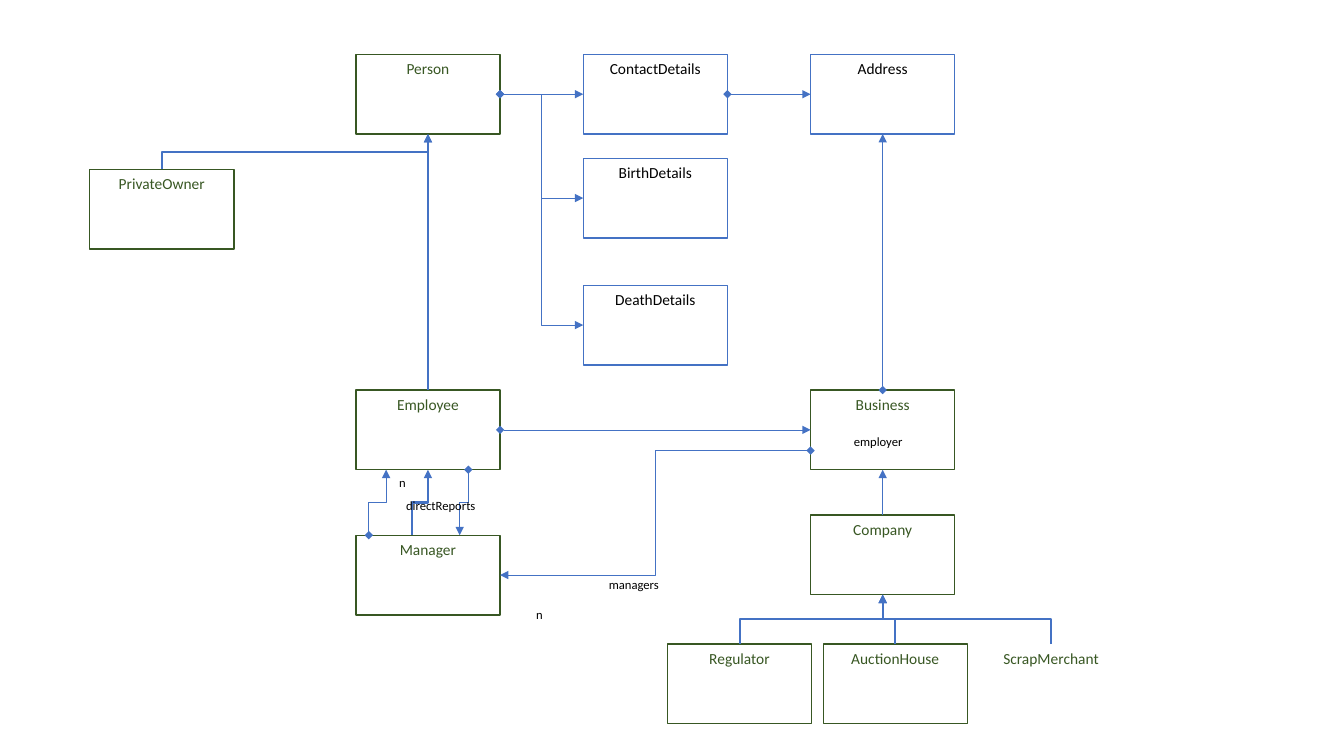
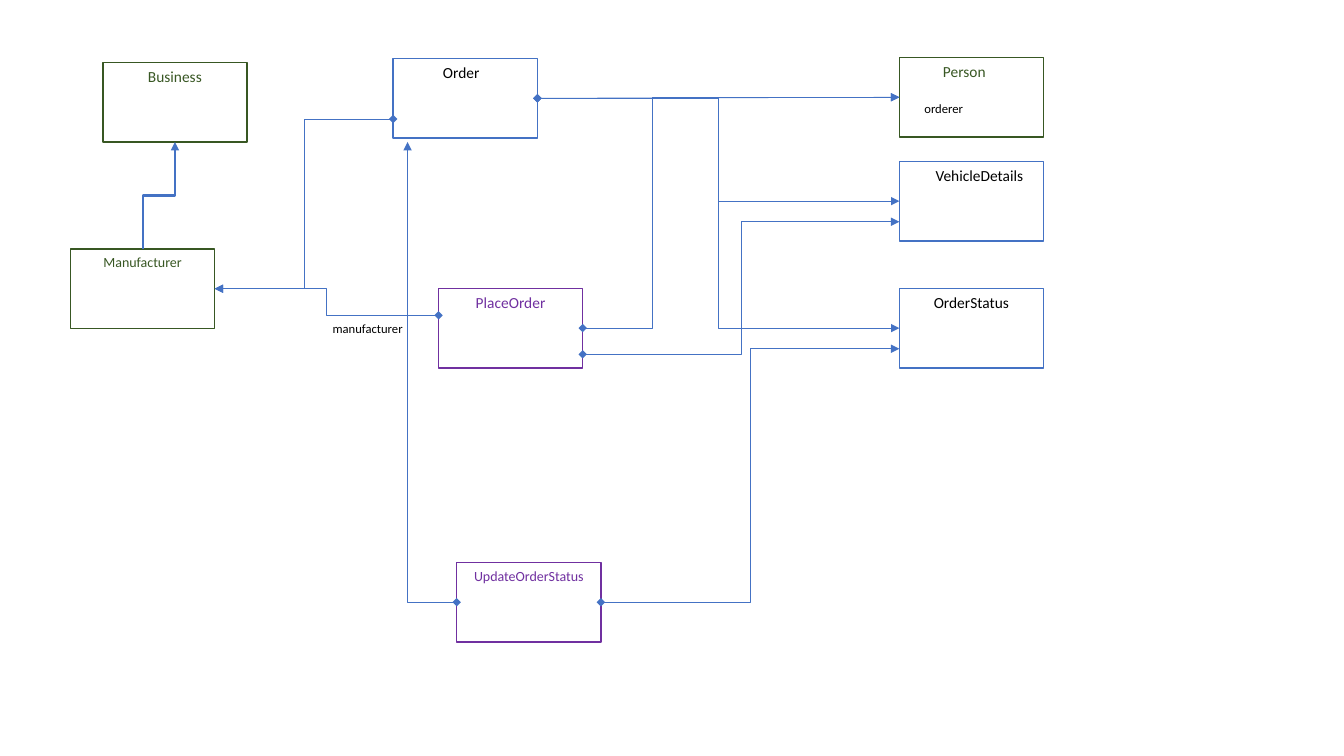
"""Draw two class diagrams whose links attach to named ports of each box."""
from lxml.etree import SubElement
from pptx import Presentation
from pptx.dml.color import RGBColor
from pptx.enum.shapes import MSO_CONNECTOR, MSO_SHAPE
from pptx.enum.text import PP_ALIGN
from pptx.oxml.ns import qn
from pptx.util import Inches, Pt

C = {"green": "385723", "blue": "4472C4", "purple": "7030A0", "black": "000000"}
FRAME = {"party": "green", "data": "blue", "action": "purple"}
INK = {"party": "green", "data": "black", "action": "purple"}
LINK = {"has": (0.5, "diamond"), "is": (1.5, None), "is thin": (0.5, None)}
PORT = {
    "left": (0, 0.5), "right": (1, 0.5), "top": (0.5, 0), "bottom": (0.5, 1),
    "upper left": (0, 0.34), "lower left": (0, 0.76), "lower right": (1, 0.83),
    "top start": (0.09, 0), "top inner": (0.39, 0), "top end": (0.72, 0),
    "bottom start": (0.21, 1), "bottom end": (0.78, 1), "below": (0.1, 1.05),
}
SMALL = ("Manufacturer", "UpdateOrderStatus")
W, H = 1.43, 0.79
COL = [3.53 + 2.255 * i for i in range(3)]
TOP, MID, LOW = 0.54, 3.87, 6.39
RIGHT = 8.92

SLIDES = [
    {
        "columns": [
            ("party", 0.89, {"PrivateOwner": 1.68}),
            ("party", COL[0], {"Person": TOP, "Employee": MID, "Manager": 5.31}),
            ("data", COL[1], {"ContactDetails": TOP, "BirthDetails": 1.57, "DeathDetails": 2.83}),
            ("data", COL[2], {"Address": TOP}),
            ("party", COL[2], {"Business": MID, "Company": 5.11}),
            *[("party", 6.62 + 1.545 * i, {name: LOW})
              for i, name in enumerate(("Regulator", "AuctionHouse", "ScrapMerchant"))],
        ],
        "shift": {},
        "links": [
            *[("Person", "right", name, "left", "has")
              for name in ("ContactDetails", "DeathDetails", "BirthDetails")],
            ("ContactDetails", "right", "Address", "left", "has"),
            ("Business", "top", "Address", "bottom", "has"),
            ("Employee", "right", "Business", "left", "has"),
            ("Employee", "top", "Person", "bottom", "is"),
            ("PrivateOwner", "top", "Person", "bottom", "is"),
            ("Manager", "top inner", "Employee", "bottom", "is"),
            ("Employee", "bottom end", "Manager", "top end", "has"),
            ("Manager", "top start", "Employee", "bottom start", "has"),
            ("Business", "lower left", "Manager", "right", "has"),
            ("Company", "top", "Business", "bottom", "is thin"),
            *[(name, "top", "Company", "bottom", "is")
              for name in ("Regulator", "AuctionHouse", "ScrapMerchant")],
        ],
        "notes": [
            ("n", 3.86, 4.66), ("n", 5.22, 5.97), ("employer", 8.37, 4.26),
            ("directReports", 3.93, 4.89), ("managers", 5.94, 5.67),
        ],
    },
    {
        "columns": [
            ("party", 0.7, {"Manufacturer": 2.47}),
            ("party", 1.02, {"Business": 0.62}),
            ("data", 3.9, {"Order": 0.58}),
            ("action", 4.35, {"PlaceOrder": 2.86}),
            ("action", 4.53, {"UpdateOrderStatus": 5.58}),
            ("party", RIGHT, {"Person": 0.57}),
            ("data", RIGHT, {"VehicleDetails": 1.6, "OrderStatus": 2.86}),
        ],
        "shift": {"Order": -0.04, "Person": -0.07, "VehicleDetails": 0.08},
        "links": [
            *[("Order", "right", name, "left", "has")
              for name in ("Person", "OrderStatus", "VehicleDetails")],
            ("Manufacturer", "top", "Business", "bottom", "is"),
            ("Order", "lower left", "Manufacturer", "right", "has"),
            ("PlaceOrder", "upper left", "Manufacturer", "right", "has"),
            ("PlaceOrder", "right", "Person", "left", "has", 0.22),
            ("PlaceOrder", "lower right", "VehicleDetails", "lower left", "has"),
            ("UpdateOrderStatus", "right", "OrderStatus", "lower left", "has"),
            ("UpdateOrderStatus", "left", "Order", "below", "has"),
        ],
        "notes": [("orderer", 9.07, 0.95), ("manufacturer", 3.2, 3.13)],
    },
]


def add_text(shapes, text, box, size, color, align, wrap):
    tf = shapes.add_textbox(*map(Inches, box)).text_frame
    tf.word_wrap = wrap
    p = tf.paragraphs[0]
    p.alignment = align
    r = p.add_run()
    r.text = text
    for key, value in {"name": "Calibri", "size": Pt(size)}.items():
        setattr(r.font, key, value)
    r.font.color.rgb = RGBColor.from_string(C[color])


def add_link(s, origin, source, exit_port, target, entry_port, kind, bend=None):
    (x1, y1), (x2, y2) = [
        (origin[name][0] + PORT[port][0] * W, origin[name][1] + PORT[port][1] * H)
        for name, port in ((source, exit_port), (target, entry_port))
    ]
    dx, dy = x2 - x1, y2 - y1
    straight = min(abs(dx), abs(dy)) < 0.012
    turned = exit_port.startswith(("top", "bottom")) and not straight
    if turned:
        cx, cy = (x1 + x2) / 2, (y1 + y2) / 2
        x1, y1, x2, y2 = cx - dy / 2, cy + dx / 2, cx + dy / 2, cy - dx / 2
    shape = MSO_CONNECTOR.STRAIGHT if straight else MSO_CONNECTOR.ELBOW
    c = s.shapes.add_connector(shape, *map(Inches, (x1, y1, x2, y2)))
    width, head = LINK[kind]
    c.line.width = Pt(width)
    c.line.color.rgb = RGBColor.from_string(C["blue"])
    spPr = c._element.spPr
    geom = spPr.find(qn("a:prstGeom"))
    if turned:
        spPr.find(qn("a:xfrm")).set("rot", "5400000")
    if entry_port == "below":
        geom.set("prst", "bentConnector2")
    if bend:
        SubElement(geom.find(qn("a:avLst")), qn("a:gd"), name="adj1", fmla=f"val {round(bend * 100000)}")
    ln = spPr.find(qn("a:ln"))
    if head:
        SubElement(ln, qn("a:headEnd"), type=head)
    SubElement(ln, qn("a:tailEnd"), type="triangle")
    SubElement(spPr, qn("a:effectLst"))


prs = Presentation()
prs.slide_width, prs.slide_height = Inches(13.33), Inches(7.5)

for diagram in SLIDES:
    s = prs.slides.add_slide(prs.slide_layouts[6])
    origin = {}
    for kind, x, tops in diagram["columns"]:
        for name, y in tops.items():
            origin[name] = x, y
            shapes = s.shapes
            if name != "ScrapMerchant":
                shapes = s.shapes.add_group_shape().shapes
                sp = shapes.add_shape(MSO_SHAPE.RECTANGLE, *map(Inches, (x, y, W, H)))
                sp.shadow.inherit = False
                sp.fill.background()
                sp.line.width = Pt(1)
                sp.line.color.rgb = RGBColor.from_string(C[FRAME[kind]])
            box = x + diagram["shift"].get(name, 0), y, W, 0.29
            size = 10 if name in SMALL else 11
            add_text(shapes, name, box, size, INK[kind], PP_ALIGN.CENTER, False)
    for link in diagram["links"]:
        add_link(s, origin, *link)
    for text, x, y in diagram["notes"]:
        width = 0.3 if text == "n" else 1.07
        add_text(s.shapes, text, (x, y, width, 0.25), 9, "black", PP_ALIGN.LEFT, True)

prs.save("out.pptx")
